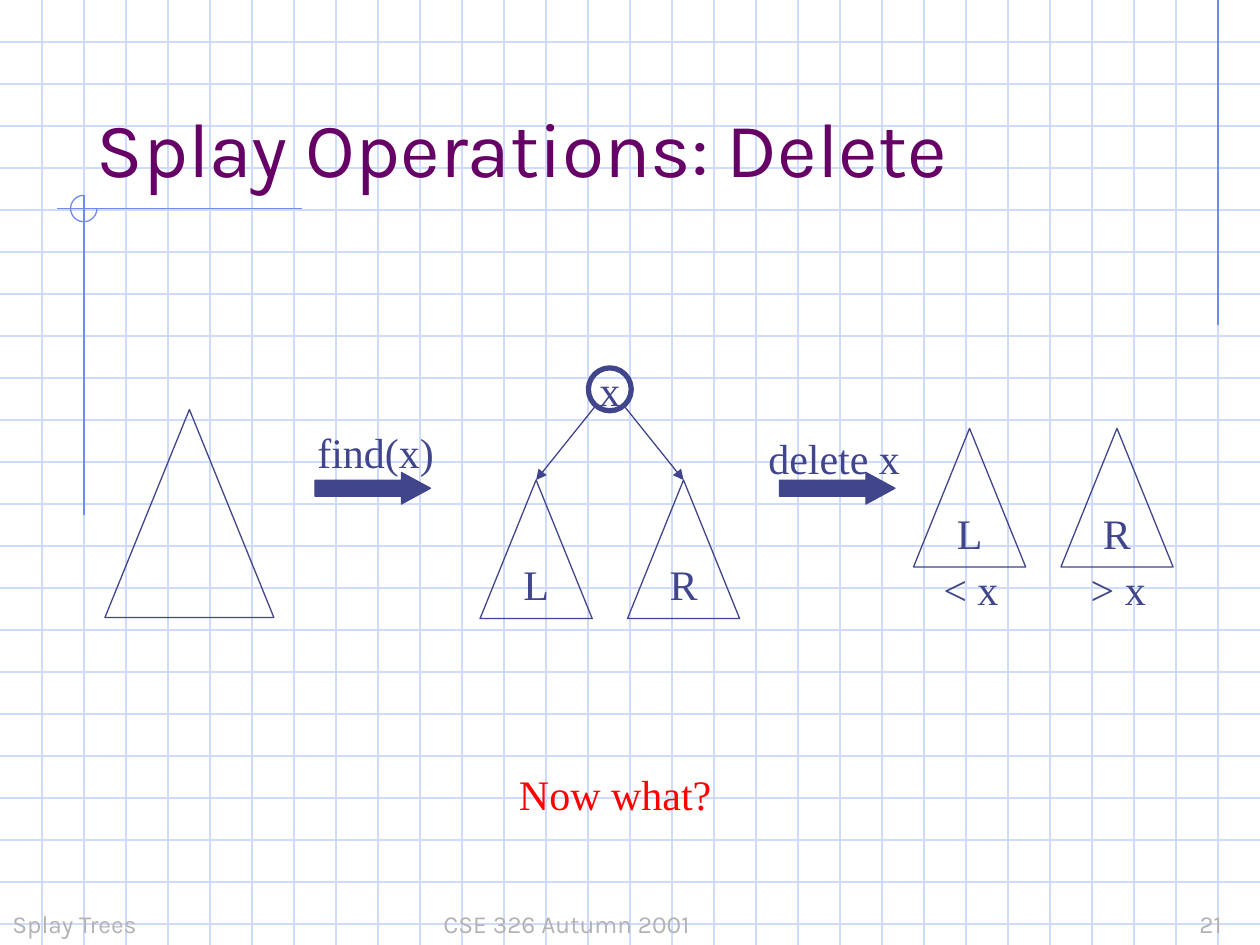
from dataclasses import dataclass

from lxml import etree
from pptx import Presentation
from pptx import util as u
from pptx.dml.color import RGBColor
from pptx.enum import shapes as kinds, text as txt
from pptx.oxml.ns import qn

CELL = u.Inches(1) / 3
COLUMNS, ROWS = 30, 22.5


@dataclass(frozen=True)
class Theme:
    heading_font: str = "Karla"
    diagram_font: str = "Times New Roman"
    title_size: int = 44
    diagram_size: int = 24
    footer_size: int = 14
    thin: float = 0.75
    thick: float = 3
    grid: str = "CFDBFD"
    accent: str = "6F89F7"
    title: str = "660066"
    ink: str = "40458C"
    alert: str = "FF0000"
    footer: str = "B2B2B2"


@dataclass(frozen=True)
class Box:
    col: float
    row: float
    cols: float
    rows: float

    def inside(self, col, row, cols, rows):
        return Box(self.col + col, self.row + row, cols, rows)

    def emu(self):
        return [cells(n) for n in (self.col, self.row, self.cols, self.rows)]


THEME = Theme()


def cells(count):
    return u.Emu(round(count * CELL))


def style_text(frame, wording, font, size, color, align=txt.PP_ALIGN.LEFT):
    frame.text = wording
    paragraph = frame.paragraphs[0]
    paragraph.alignment = align
    for run in paragraph.runs:
        run.font.name = font
        run.font.size = u.Pt(size)
        run.font.color.rgb = RGBColor.from_string(color)


def add_line(parent, start, end, color, arrow=False):
    points = [cells(n) for n in (*start, *end)]
    line = parent.add_connector(kinds.MSO_CONNECTOR.STRAIGHT, *points)
    line.line.color.rgb = RGBColor.from_string(color)
    line.line.width = u.Pt(THEME.thin)
    if arrow:
        etree.SubElement(line.line._get_or_add_ln(), qn("a:tailEnd"), type="triangle")
    etree.SubElement(line._element.spPr, qn("a:effectLst"))


def add_outline(parent, kind, box, color=THEME.ink, width=THEME.thin, wording=""):
    outline = parent.add_shape(kind, *box.emu())
    outline.shadow.inherit = False
    outline.fill.background()
    outline.line.color.rgb = RGBColor.from_string(color)
    outline.line.width = u.Pt(width)
    if wording:
        frame = outline.text_frame
        frame.word_wrap = False
        frame.vertical_anchor = txt.MSO_ANCHOR.MIDDLE
        style_text(frame, wording, THEME.diagram_font, THEME.diagram_size,
                   THEME.ink, txt.PP_ALIGN.CENTER)
    return outline


def add_label(parent, box, wording, color=THEME.ink):
    frame = parent.add_textbox(*box.emu()).text_frame
    frame.word_wrap = True
    frame.margin_right = 0
    frame.auto_size = txt.MSO_AUTO_SIZE.SHAPE_TO_FIT_TEXT
    style_text(frame, wording, THEME.diagram_font, THEME.diagram_size, color)


def backdrop(parent, page):
    paper = parent.add_group_shape().shapes
    for row in range(1, int(page.rows) + 1):
        add_line(paper, (0, row), (page.cols, row), THEME.grid)
    for col in range(1, page.cols):
        add_line(paper, (col, 0), (col, page.rows), THEME.grid)
    add_line(paper, (29, 0), (29, 7.74), THEME.accent)
    add_line(paper, (7.2, 4.97), (1.36, 4.97), THEME.accent)
    add_line(paper, (2, 4.65), (2, 12.27), THEME.accent)
    corner = add_outline(paper, kinds.MSO_SHAPE.ARC,
                         Box(1.68, 4.65, 0.63, 0.63), THEME.accent)
    corner.adjustments[0] = 0
    corner.adjustments[1] = 162


def heading(title, box):
    title.left, title.top, title.width, title.height = box.emu()
    title.text_frame.word_wrap = True
    title.text_frame.vertical_anchor = txt.MSO_ANCHOR.BOTTOM
    style_text(title.text_frame, "Splay Operations: Delete",
               THEME.heading_font, THEME.title_size, THEME.title)
    title.element.getparent().append(title.element)


def footer(parent, box, wording):
    frame = parent.add_textbox(*box.emu()).text_frame
    frame.word_wrap = True
    frame.vertical_anchor = txt.MSO_ANCHOR.BOTTOM
    style_text(frame, wording, THEME.heading_font, THEME.footer_size, THEME.footer)
    properties = frame.paragraphs[0]._p.get_or_add_pPr()
    stops = etree.SubElement(properties, qn("a:tabLst"))
    for inch in range(8):
        etree.SubElement(stops, qn("a:tab"), pos=str(u.Inches(inch)), algn="l")


def step(parent, box, label_box, wording):
    arrow = add_outline(parent, kinds.MSO_SHAPE.RIGHT_ARROW, box)
    arrow.adjustments[0] = 0.5
    arrow.adjustments[1] = 0.92
    arrow.fill.solid()
    arrow.fill.fore_color.rgb = RGBColor.from_string(THEME.ink)
    add_label(parent, label_box, wording)


def subtrees(parent, box):
    width = 2.67
    apexes = []
    for name, offset in (("L", 0), ("R", box.cols - width)):
        add_outline(parent, kinds.MSO_SHAPE.ISOSCELES_TRIANGLE,
                    box.inside(offset, 0, width, box.rows), wording=name)
        apexes.append((box.col + offset + width / 2, box.row))
    return apexes


def rooted_tree(parent, box):
    subtree_top, node = 2.67, 1.02
    center = box.cols / 2
    apexes = subtrees(parent, box.inside(0, subtree_top, box.cols, box.rows - subtree_top))
    add_outline(parent, kinds.MSO_SHAPE.OVAL,
                box.inside(center - node / 2, 0, node, node),
                width=THEME.thick, wording="x")
    for apex, side in zip(apexes, (-0.36, 0.36)):
        add_line(parent, (box.col + center + side, box.row + 0.93), apex, THEME.ink, arrow=True)


def split_trees(parent, box):
    apexes = subtrees(parent, box)
    for (apex_col, _), bound in zip(apexes, ("< x", "> x")):
        add_label(parent, Box(apex_col - 0.92, box.row + 3.06, 1.92, 1.5), bound)


def main():
    deck = Presentation()
    deck.slide_width, deck.slide_height = cells(COLUMNS), cells(ROWS)
    slide = deck.slides.add_slide(deck.slide_layouts[5])
    parts = slide.shapes

    backdrop(parts, Box(0, 0, COLUMNS, ROWS))
    footer(parts, Box(0, 21, 6.24, 1.5), "Splay Trees")
    footer(parts, Box(10.26, 21, 19.74, 1.5), "CSE 326 Autumn 2001\t\t\t\t\t21")
    heading(parts.title, Box(2, 1, 25.5, 3.75))

    add_outline(parts, kinds.MSO_SHAPE.ISOSCELES_TRIANGLE, Box(2.5, 9.75, 4.02, 4.95))
    step(parts, Box(7.5, 11.25, 2.75, 0.75), Box(7.26, 10, 3.36, 1.5), "find(x)")
    rooted_tree(parts, Box(11.43, 8.76, 6.18, 5.97))
    step(parts, Box(18.56, 11.25, 2.75, 0.75), Box(18, 10.14, 3.72, 1.5), "delete x")
    split_trees(parts, Box(21.75, 10.2, 6.18, 3.3))
    add_label(parts, Box(12.06, 18.15, 5.16, 1.5), "Now what?", THEME.alert)

    deck.save("out.pptx")


if __name__ == "__main__":
    main()
